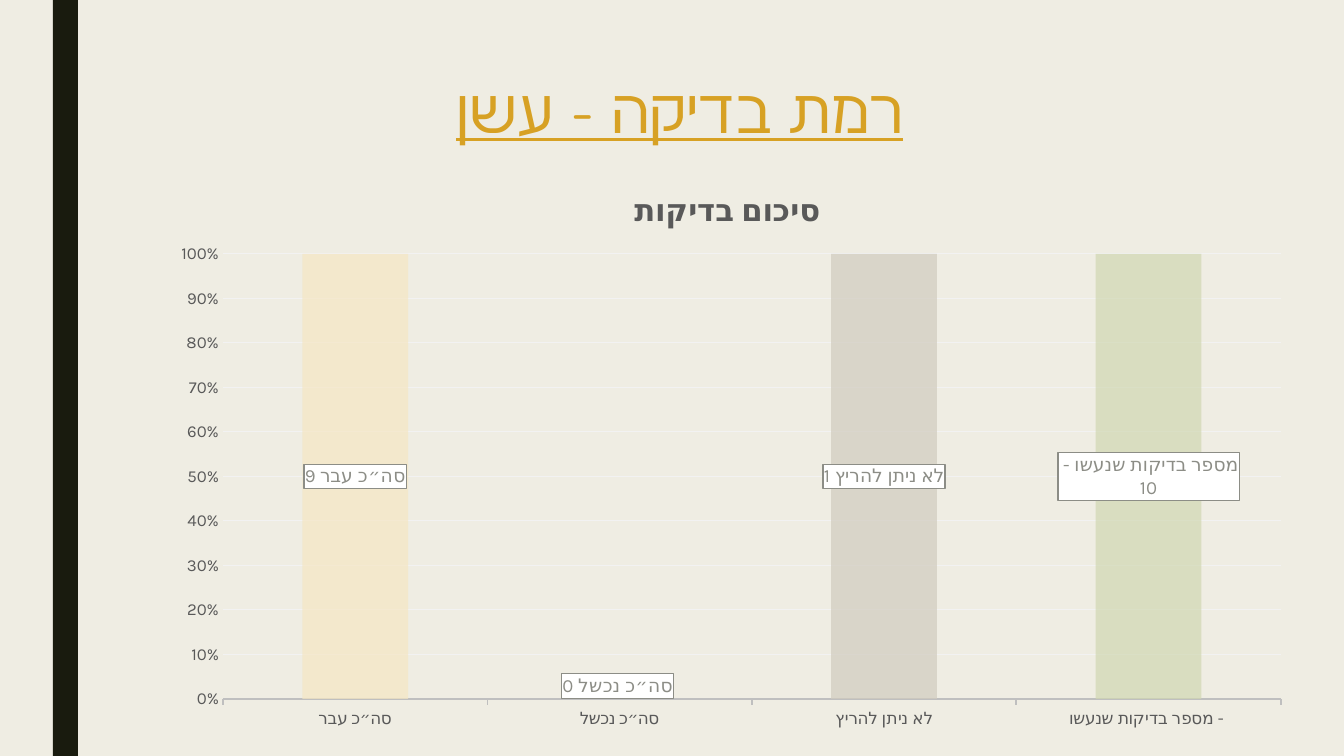
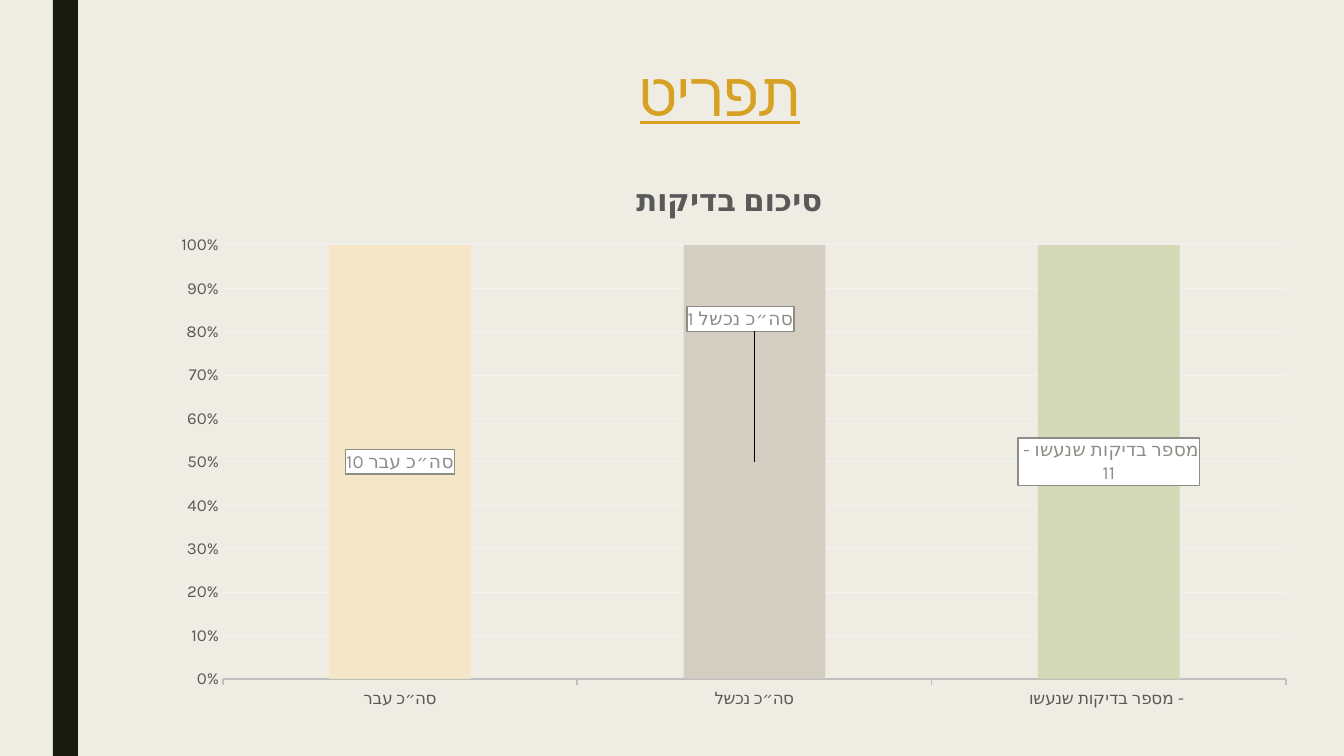
from copy import deepcopy
from lxml.etree import SubElement
from pptx import Presentation
from pptx.chart.data import CategoryChartData
from pptx.dml.color import RGBColor
from pptx.enum.chart import XL_CHART_TYPE, XL_LABEL_POSITION, XL_TICK_MARK
from pptx.enum.shapes import MSO_SHAPE
from pptx.enum.text import MSO_ANCHOR, PP_ALIGN
from pptx.oxml import parse_xml
from pptx.oxml.ns import nsdecls, qn
from pptx.util import Pt

PAPER, BAND, GOLD = "EFEDE3", "191B0E", "D7A124"
INK, GRAY, AXIS, GRID = "595959", "8C8D86", "BFBFBF", "F2F2F2"
CREAM, STONE, GREEN = "F5E6C3", "D1CBBE", "D1D7B2"
HEAD, BODY = "Quicksand", "Karla"
TOPIC = "סיכום בדיקות"
PASS, FAIL, SKIP, DONE = "סה״כ עבר", "סה״כ נכשל", "לא ניתן להריץ", "מספר בדיקות שנעשו - "

SLIDES = [
    {"title": "רמת בדיקה - עשן", "head": (151, 76, 1058, 104),
     "chart": (151, 167, 1153, 574), "plot": (223, 254, 1058, 445),
     "bars": [(PASS, 9, CREAM), (FAIL, 0, GRAY), (SKIP, 1, STONE), (DONE, 10, GREEN)],
     "alpha": 70, "shift": (-2, -13)},
    {"title": "תפריט", "head": (230, 59, 980, 98),
     "chart": (151, 157, 1157, 562), "plot": (223, 245, 1063, 434),
     "bars": [(PASS, 10, CREAM), (FAIL, 1, STONE), (DONE, 11, GREEN)],
     "alpha": 90, "shift": (-14, -143)},
]


def px(*nums):
    """Turn px lengths into EMU."""
    return [round(n * 914400 / 100.8) for n in nums]


def rgb(code):
    """Turn a hex string into a colour."""
    return RGBColor.from_string(code)


def paint(fill, code, alpha=100):
    """Fill with one colour, see-through below 100."""
    fill.solid()
    fill.fore_color.rgb = rgb(code)
    if alpha < 100:
        for clr in fill._xPr.iter(qn("a:srgbClr")):
            SubElement(clr, qn("a:alpha"), val=str(alpha * 1000))


def style(font, name, size, code, bold=False):
    """Set the face, size and colour of a font."""
    font.name, font.size, font.bold = name, Pt(size), bold
    font.color.rgb = rgb(code)


def pair(root):
    """Give Hebrew letters the face of the Latin ones."""
    for latin in list(root.iter(qn("a:latin"))):
        cs = deepcopy(latin)
        cs.tag = qn("a:cs")
        latin.addnext(cs)


def place(mode, spots):
    """Make a manual chart layout from fractions."""
    box = parse_xml(f"<c:layout {nsdecls('c')}><c:manualLayout/></c:layout>")
    inner = box[0]
    if mode == "inner":
        SubElement(inner, qn("c:layoutTarget"), val="inner")
        for key in ("xMode", "yMode"):
            SubElement(inner, qn("c:" + key), val="edge")
    for key, val in zip("xywh", spots):
        SubElement(inner, qn("c:" + key), val=f"{val:.4f}")
    return box


def add_band(slide):
    """Draw the dark band on the left."""
    band = slide.shapes.add_shape(MSO_SHAPE.RECTANGLE, *px(53, 0, 25, 756))
    band.shadow.inherit = False
    paint(band.fill, BAND)
    band.line.fill.background()


def add_title(slide, text, box):
    """Write the underlined title."""
    frame = slide.shapes.add_textbox(*px(*box)).text_frame
    frame.word_wrap = True
    frame.vertical_anchor = MSO_ANCHOR.TOP
    para = frame.paragraphs[0]
    para.alignment, para.line_spacing = PP_ALIGN.CENTER, 0.89
    para._p.get_or_add_pPr().set("rtl", "1")
    run = para.add_run()
    run.text = text
    style(run.font, HEAD, 44, GOLD)
    run.font.underline = True
    pair(para._p)


def add_labels(series, shift):
    """Box the labels and move the one of the second bar."""
    labels = series.data_labels
    style(labels.font, BODY, 13.3, GRAY)
    labels.show_value = labels.show_category_name = True
    labels.position = XL_LABEL_POSITION.CENTER
    root = labels._element
    for lead in root.findall(qn("c:showLeaderLines")):
        root.remove(lead)
    root.find(qn("c:txPr")).addprevious(parse_xml(
        f"<c:spPr {nsdecls('c', 'a')}><a:solidFill><a:srgbClr val='FFFFFF'/></a:solidFill>"
        f"<a:ln w='12700'><a:solidFill><a:srgbClr val='{GRAY}'/></a:solidFill></a:ln></c:spPr>"))
    SubElement(root, qn("c:separator")).text = " "
    parts = [deepcopy(part) for part in root]
    moved = parse_xml(f"<c:dLbl {nsdecls('c')}><c:idx val='1'/></c:dLbl>")
    moved.append(place("shift", shift))
    moved.extend(parts)
    root.insert(0, moved)


def add_axes(chart):
    """Style both axes and the grid."""
    cat, val = chart.category_axis, chart.value_axis
    for axis in (cat, val):
        style(axis.tick_labels.font, BODY, 12, INK)
        axis.minor_tick_mark = XL_TICK_MARK.NONE
    cat.major_tick_mark = XL_TICK_MARK.OUTSIDE
    cat.format.line.color.rgb = rgb(AXIS)
    cat.format.line.width = Pt(1.25)
    val.major_tick_mark = XL_TICK_MARK.NONE
    val.format.line.fill.background()
    val.tick_labels.number_format = "0%"
    val.tick_labels.number_format_is_linked = False
    grid = val.major_gridlines.format.line
    grid.color.rgb, grid.width = rgb(GRID), Pt(0.75)


def add_graph(slide, page):
    """Add the chart of full-height columns."""
    left, top, wide, high = page["chart"]
    x, y, w, h = page["plot"]
    dx, dy = page["shift"]
    cats, vals, fills = zip(*page["bars"])
    data = CategoryChartData()
    data.categories = cats
    data.add_series(TOPIC, vals)
    chart = slide.shapes.add_chart(
        XL_CHART_TYPE.COLUMN_STACKED_100, *px(*page["chart"]), data).chart
    style(chart.font, BODY, 10, "000000")
    chart.has_legend = False
    chart.has_title = True
    run = chart.chart_title.text_frame.paragraphs[0].add_run()
    run.text = TOPIC
    style(run.font, BODY, 22, INK, True)
    plot = chart.plots[0]
    plot.gap_width, plot.overlap, plot.vary_by_categories = 150, 100, False
    series = plot.series[0]
    for num, code in enumerate(fills):
        paint(series.points[num].format.fill, code, page["alpha"])
    add_labels(series, (dx / wide, dy / high))
    add_axes(chart)
    area = chart._chartSpace.chart.plotArea
    for old in area.findall(qn("c:layout")):
        area.remove(old)
    area.insert(0, place("inner", (
        (x - left) / wide, (y - top) / high, w / wide, h / high)))
    pair(chart._chartSpace)


def main():
    """Build and save the slides."""
    deck = Presentation()
    deck.slide_width, deck.slide_height = px(1344, 756)
    paint(deck.slide_master.background.fill, PAPER)
    for page in SLIDES:
        slide = deck.slides.add_slide(deck.slide_layouts[6])
        add_band(slide)
        add_title(slide, page["title"], page["head"])
        add_graph(slide, page)
    deck.save("out.pptx")


if __name__ == "__main__":
    main()
